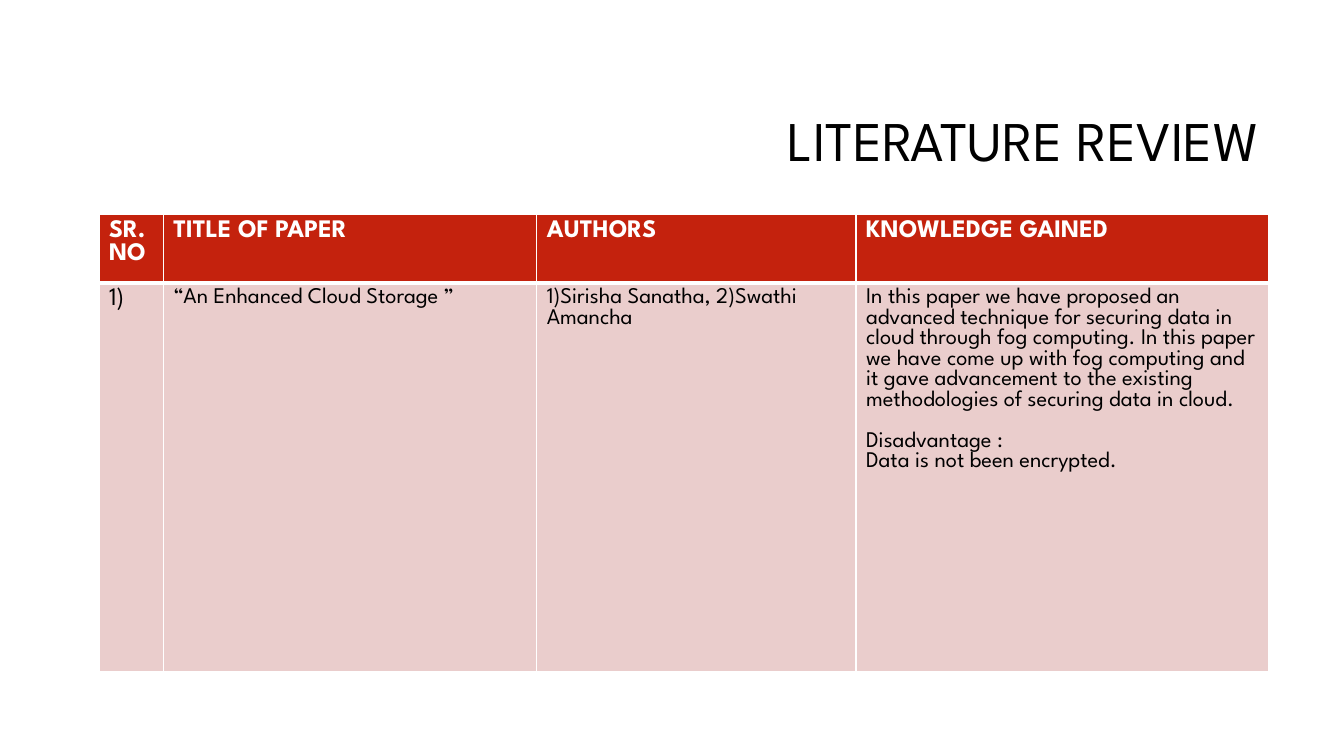
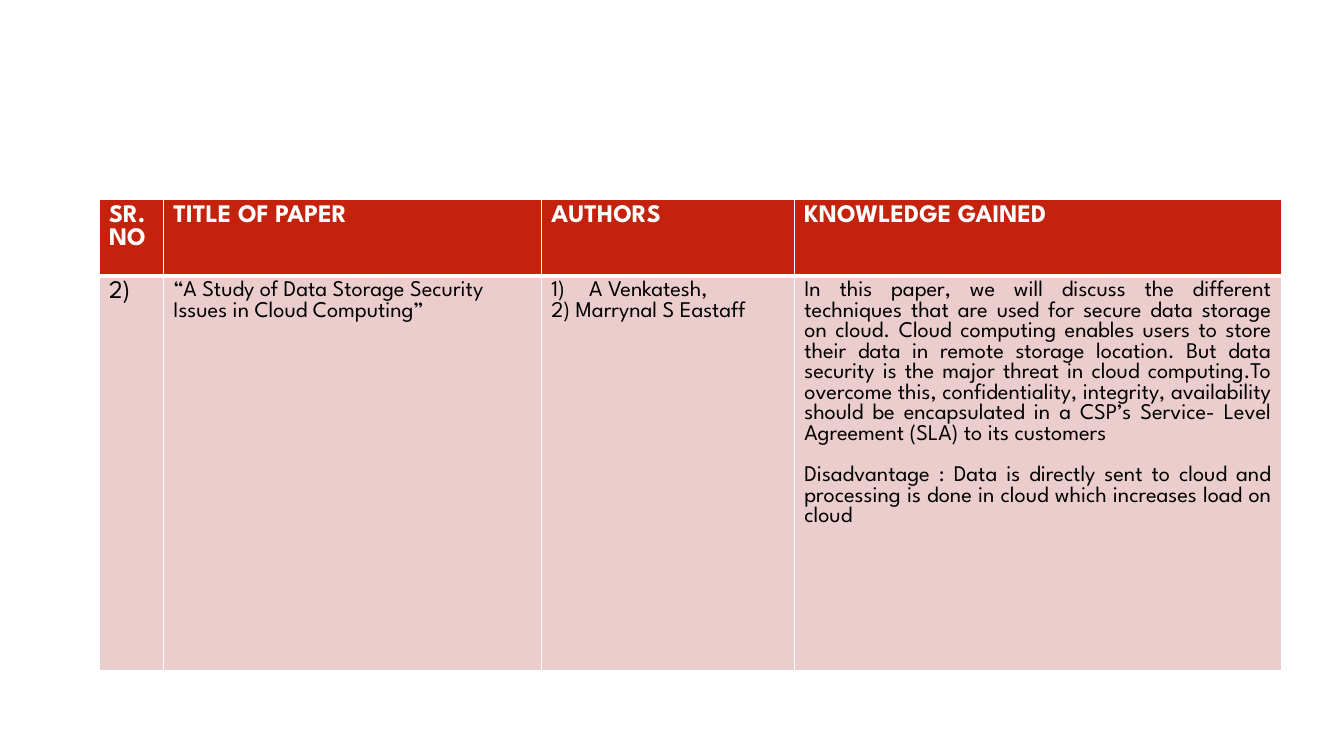
from dataclasses import dataclass

from lxml.etree import SubElement
from pptx import Presentation
from pptx.dml.color import RGBColor
from pptx.enum.text import MSO_ANCHOR, MSO_AUTO_SIZE, PP_ALIGN
from pptx.oxml.ns import qn
from pptx.slide import Slide
from pptx.table import _Cell
from pptx.text.text import _Paragraph
from pptx.util import Pt

# Shared style
FONT = "League Spartan"
BLACK = RGBColor(0x00, 0x00, 0x00)
WHITE = RGBColor(0xFF, 0xFF, 0xFF)
RED = RGBColor(0xC4, 0x22, 0x0D)
PINK = RGBColor(0xEA, 0xCD, 0xCC)
TITLE_SIZE, LABEL_SIZE, BODY_SIZE = 40, 18, 16
TITLE_ONLY, BLANK = 5, 6
TABLE_LEFT = 70.7
NUMBER_INDENT = 27
SECTION_GAP = 14.7
HEADINGS = ("SR.NO", "TITLE OF PAPER", "AUTHORS", "KNOWLEDGE GAINED")


@dataclass(frozen=True)
class Line:
    text: str
    size: int = BODY_SIZE
    color: RGBColor = BLACK
    bold: bool = False
    align: PP_ALIGN = PP_ALIGN.LEFT
    gap_before: float = 0
    numbered: bool = False


@dataclass(frozen=True)
class Review:
    top: float
    widths: tuple[float, ...]
    heights: tuple[float, ...]
    entry: tuple[tuple[Line, ...], ...]
    title: str = ""


REVIEWS = (
    Review(
        title="LITERATURE REVIEW",
        top=153.4,
        widths=(46, 266.8, 228, 294.6),
        heights=(48.7, 277.6),
        entry=(
            (Line("1)", LABEL_SIZE),),
            (Line("“An Enhanced Cloud Storage ”"),),
            (Line("1)Sirisha Sanatha, 2)Swathi Amancha"),),
            (
                Line("In this paper we have proposed an advanced technique for "
                     "securing data in cloud through fog computing. In this paper "
                     "we have come up with fog computing and it gave advancement "
                     "to the existing methodologies of securing data in cloud."),
                Line("Disadvantage :", gap_before=SECTION_GAP),
                Line("Data is not been encrypted."),
            ),
        ),
    ),
    Review(
        top=142.6,
        widths=(46, 270, 180.7, 348),
        heights=(54.7, 282),
        entry=(
            (Line("2)", LABEL_SIZE),),
            (Line("“A Study of Data Storage Security Issues in Cloud Computing”"),),
            (Line("A Venkatesh,", numbered=True), Line("2) Marrynal S Eastaff")),
            (
                Line("In this paper, we will discuss the different techniques that "
                     "are used for secure data storage on cloud. Cloud computing "
                     "enables users to store their data in remote storage location. "
                     "But data security is the major threat in cloud computing.To "
                     "overcome this, confidentiality, integrity, availability "
                     "should be encapsulated in a CSP’s Service- Level Agreement "
                     "(SLA) to its customers", align=PP_ALIGN.JUSTIFY),
                Line("Disadvantage : Data is directly sent to cloud and processing "
                     "is done in cloud which increases load on cloud",
                     align=PP_ALIGN.JUSTIFY, gap_before=SECTION_GAP),
            ),
        ),
    ),
)


def write_line(para: _Paragraph, line: Line) -> None:
    para.alignment = line.align
    para.space_before = Pt(line.gap_before)
    if line.numbered:
        properties = para._p.get_or_add_pPr()
        properties.set("marL", str(Pt(NUMBER_INDENT)))
        properties.set("indent", str(-Pt(NUMBER_INDENT)))
        SubElement(properties, qn("a:buFont"), typeface="+mj-lt")
        SubElement(properties, qn("a:buAutoNum"), type="arabicParenR")
    span = para.add_run()
    span.text = line.text
    span.font.name = FONT
    span.font.size = Pt(line.size)
    span.font.bold = line.bold
    span.font.color.rgb = line.color


def set_borders(cell: _Cell, bottom: float) -> None:
    properties = cell._tc.get_or_add_tcPr()
    for side, width in (("L", 1), ("R", 1), ("T", 1), ("B", bottom)):
        border = SubElement(properties, qn(f"a:ln{side}"), w=str(Pt(width)))
        fill = SubElement(border, qn("a:solidFill"))
        SubElement(fill, qn("a:srgbClr"), val=str(WHITE))


def fill_cell(cell: _Cell, lines: tuple[Line, ...], color: RGBColor, bottom: float) -> None:
    set_borders(cell, bottom)
    cell.fill.solid()
    cell.fill.fore_color.rgb = color
    frame = cell.text_frame
    for index, line in enumerate(lines):
        write_line(frame.add_paragraph() if index else frame.paragraphs[0], line)


def add_title(page: Slide, text: str) -> None:
    box = page.shapes.title
    box.left, box.top, box.width, box.height = Pt(228.2), Pt(60.5), Pt(678.2), Pt(83.5)
    frame = box.text_frame
    frame.word_wrap = True
    frame.auto_size = MSO_AUTO_SIZE.NONE
    frame.vertical_anchor = MSO_ANCHOR.MIDDLE
    para = frame.paragraphs[0]
    write_line(para, Line(text, TITLE_SIZE, align=PP_ALIGN.RIGHT))
    para.line_spacing = 0.9


def add_review_table(page: Slide, review: Review) -> None:
    table = page.shapes.add_table(
        len(review.heights), len(HEADINGS), Pt(TABLE_LEFT), Pt(review.top),
        Pt(sum(review.widths)), Pt(sum(review.heights)),
    ).table
    table.horz_banding = False
    for column, width in zip(table.columns, review.widths):
        column.width = Pt(width)
    for row, height in zip(table.rows, review.heights):
        row.height = Pt(height)
    for index, (heading, lines) in enumerate(zip(HEADINGS, review.entry)):
        label = Line(heading, LABEL_SIZE, WHITE, bold=True)
        fill_cell(table.cell(0, index), (label,), RED, bottom=3)
        fill_cell(table.cell(1, index), lines, PINK, bottom=1)
        # The heavy rule under the headings is shared by both rows
        top_border = table.cell(1, index)._tc.tcPr.find(qn("a:lnT"))
        top_border.set("w", str(Pt(3)))


def main() -> None:
    deck = Presentation()
    deck.slide_width, deck.slide_height = Pt(960), Pt(540)
    for review in REVIEWS:
        layout = TITLE_ONLY if review.title else BLANK
        page = deck.slides.add_slide(deck.slide_layouts[layout])
        if review.title:
            add_title(page, review.title)
        add_review_table(page, review)
    deck.save("out.pptx")


if __name__ == "__main__":
    main()
